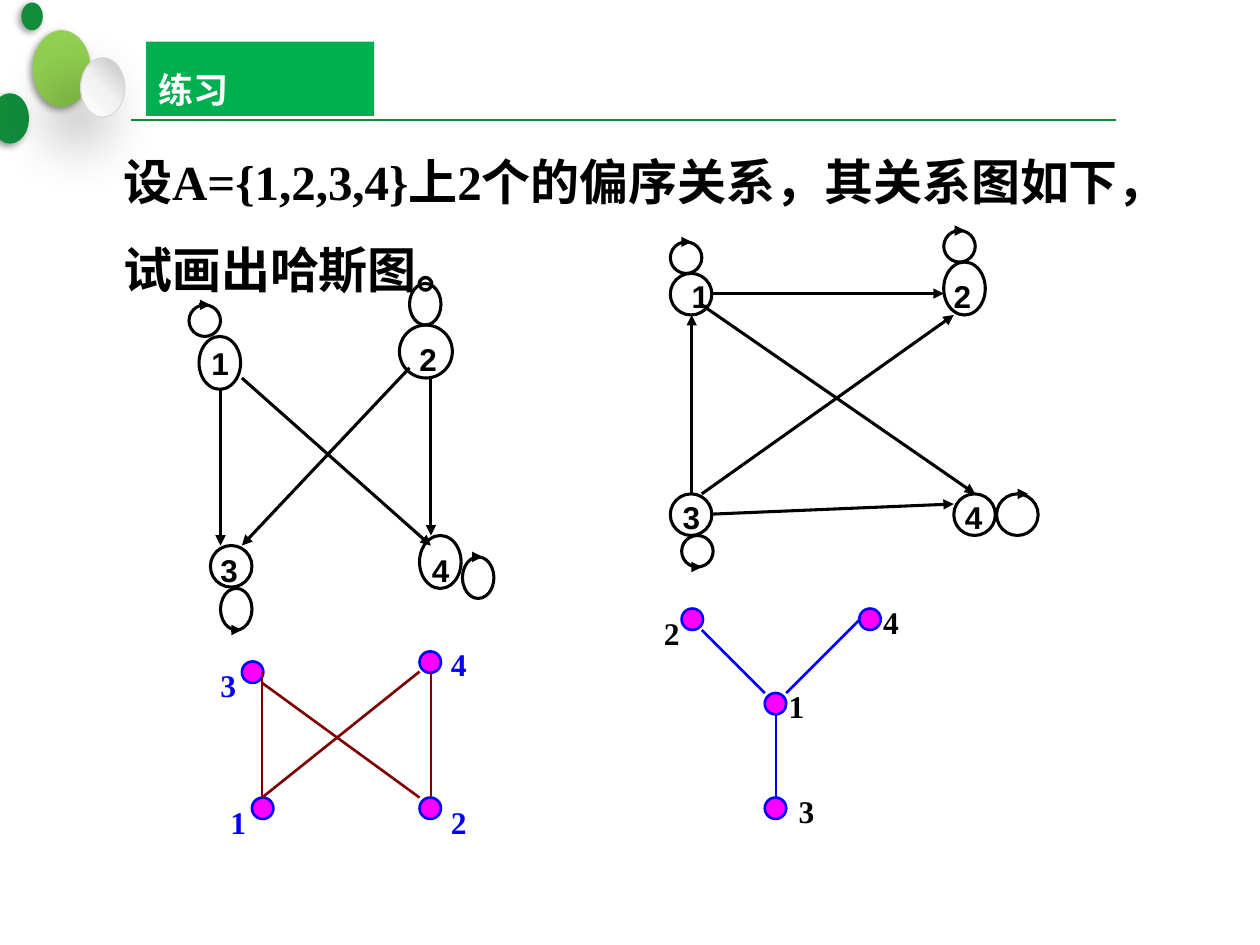
"""Build a practice slide with two relation graphs and their Hasse diagrams."""
from copy import deepcopy
from dataclasses import dataclass
from lxml.etree import SubElement
from pptx import Presentation
from pptx.dml.color import RGBColor
from pptx.enum.shapes import MSO_CONNECTOR, MSO_SHAPE
from pptx.enum.text import MSO_ANCHOR, MSO_AUTO_SIZE, PP_ALIGN
from pptx.oxml.ns import qn
from pptx.util import Inches, Pt


@dataclass
class Theme:
    black: str = "000000"
    white: str = "FFFFFF"
    blue: str = "0000FF"
    pink: str = "FF00FF"
    maroon: str = "800000"
    green: str = "118C3B"
    lime: str = "92D050"
    banner: str = "00B050"
    rim: str = "D9D9D9"
    pearl: tuple = ("FFFFFF", "F2F2F2", "BFBFBF")
    serif: str = "Times New Roman"
    sans: str = "Arial"
    asian: str = "Noto Sans CJK SC"
    body: int = 28
    head: int = 20
    label: int = 18


theme = Theme()


def write(frame, text, font=theme.serif, size=theme.label, color=theme.black):
    for i, words in enumerate(text.split("\n")):
        para = frame.add_paragraph() if i else frame.paragraphs[0]
        para.alignment = PP_ALIGN.LEFT
        para.line_spacing = 1.5
        run = para.add_run()
        run.text = words
        run.font.name = font
        run.font.size = Pt(size)
        run.font.bold = True
        run.font.color.rgb = RGBColor.from_string(color)
        SubElement(run._r.get_or_add_rPr(), qn("a:ea"), typeface=theme.asian)


def join(host, ends, color, width, arrow=False):
    line = host.add_connector(MSO_CONNECTOR.STRAIGHT, *map(Inches, ends))
    line.line.color.rgb = RGBColor.from_string(color)
    line.line.width = Pt(width)
    props = line.element.spPr
    if arrow:
        SubElement(props.find(qn("a:ln")), qn("a:tailEnd"), type="triangle")
    SubElement(props, qn("a:effectLst"))


deck = Presentation()
deck.slide_width, deck.slide_height = Inches(10), Inches(7.5)
slide = deck.slides.add_slide(deck.slide_layouts[5])
shapes = slide.shapes

title = shapes.title
title.left, title.top = Inches(1.16), Inches(0.33)
title.width, title.height = Inches(1.81), Inches(0.59)
SubElement(title.element.spPr, qn("a:prstGeom"), prst="chevron")
title.fill.solid()
title.fill.fore_color.rgb = RGBColor.from_string(theme.banner)
title.text_frame.vertical_anchor = MSO_ANCHOR.MIDDLE
write(title.text_frame, "练习", font=theme.asian, size=theme.head, color=theme.white)

join(shapes, (1.04, 0.95, 8.86, 0.95), theme.green, 1.25)

balls = [
    ((0.26, 0.24, 0.46, 0.61), theme.lime, 4, 2),
    ((-0.07, 0.74, 0.3, 0.4), theme.green, 4, 2),
    ((0.64, 0.46, 0.35, 0.47), theme.pearl, 35, 20),
    ((0.17, 0.02, 0.17, 0.22), theme.green, 4, 2),
]
for box, paint, blur, dist in balls:
    ball = shapes.add_shape(MSO_SHAPE.OVAL, *map(Inches, box))
    if paint == theme.pearl:
        ball.fill.gradient()
        ball.fill.gradient_angle = 45
        stops = ball.element.spPr.find(".//" + qn("a:gsLst"))
        stops.append(deepcopy(stops[-1]))
        for i, stop in enumerate(ball.fill.gradient_stops):
            stop.position = i / 2
            stop.color.rgb = RGBColor.from_string(paint[i])
        ball.line.color.rgb = RGBColor.from_string(theme.rim)
        ball.line.width = Pt(0.75)
    else:
        ball.fill.solid()
        ball.fill.fore_color.rgb = RGBColor.from_string(paint)
        ball.line.fill.background()
    ball.shadow.inherit = False
    shade = SubElement(ball.element.spPr.find(qn("a:effectLst")), qn("a:outerShdw"),
                       blurRad=str(Pt(blur)), dist=str(Pt(dist)),
                       dir=str(135 * 60000), algn="tr", rotWithShape="0")
    tint = SubElement(shade, qn("a:srgbClr"), val=theme.black)
    SubElement(tint, qn("a:alpha"), val="40000")

task = shapes.add_textbox(Inches(0.88), Inches(0.92), Inches(8.57), Inches(1.52))
task.text_frame.word_wrap = False
task.text_frame.auto_size = MSO_AUTO_SIZE.SHAPE_TO_FIT_TEXT
write(task.text_frame, "设A={1,2,3,4}上2个的偏序关系，其关系图如下，\n试画出哈斯图。", size=theme.body)

digraph = dict(fill=None, rim=theme.black, edge=theme.black, width=1.75,
               arrow=True, font=theme.sans, ink=theme.black, wide=0.34)
hasse = dict(fill=theme.pink, rim=theme.blue, edge=theme.blue, width=1.5,
             arrow=False, font=theme.serif, ink=theme.black, wide=0.32)
dot = 0.17
graphs = [
    dict(digraph, host=shapes,
         nodes=[(1.58, 2.67, 0.33, 0.42), (3.17, 2.58, 0.42, 0.42),
                (1.67, 4.33, 0.33, 0.33), (3.33, 4.25, 0.33, 0.42),
                (1.5, 2.42, 0.25, 0.25), (3.25, 2.25, 0.25, 0.33),
                (1.75, 4.67, 0.25, 0.33), (3.67, 4.42, 0.25, 0.33)],
         edges=[(1.92, 3, 3.42, 4.33), (3.25, 2.92, 1.92, 4.33),
                (1.75, 3.08, 1.75, 4.33), (3.42, 3, 3.42, 4.25),
                (3.75, 4.42, 3.83, 4.42), (1.83, 5, 1.92, 5),
                (3.42, 2.25, 3.42, 2.25), (1.58, 2.42, 1.67, 2.42)],
         labels=[("1", 1.58, 2.53), ("2", 3.23, 2.5), ("3", 1.65, 4.17), ("4", 3.33, 4.17)]),
    dict(digraph, host=shapes,
         nodes=[(5.32, 2.17, 0.33, 0.33), (7.49, 2.08, 0.33, 0.42),
                (5.32, 3.92, 0.33, 0.33), (7.57, 3.92, 0.33, 0.33),
                (5.32, 1.92, 0.25, 0.25), (7.49, 1.83, 0.25, 0.25),
                (5.41, 4.25, 0.25, 0.25), (7.91, 3.92, 0.33, 0.33)],
         edges=[(5.41, 1.92, 5.49, 1.92), (7.57, 1.83, 7.66, 1.83),
                (5.49, 4.5, 5.57, 4.5), (8.07, 3.92, 8.07, 3.92),
                (8.07, 3.92, 8.16, 3.92), (5.66, 2.33, 7.49, 2.33),
                (5.49, 3.92, 5.49, 2.5), (5.57, 3.92, 7.57, 2.5),
                (5.66, 4.08, 7.57, 4), (5.57, 2.42, 7.74, 3.92)],
         labels=[("1", 5.39, 2), ("2", 7.47, 2), ("3", 5.32, 3.75), ("4", 7.56, 3.75)]),
    dict(hasse, host=shapes.add_group_shape().shapes, edge=theme.maroon, ink=theme.blue,
         nodes=[(1.92, 5.25, dot, dot), (3.33, 5.17, dot, dot),
                (2, 6.33, dot, dot), (3.33, 6.33, dot, dot)],
         edges=[(2.08, 5.42, 3.33, 6.33), (2.08, 6.33, 3.33, 5.33),
                (2.08, 5.33, 2.08, 6.33), (3.42, 5.33, 3.42, 6.33)],
         labels=[("3", 1.65, 5.09), ("1", 1.73, 6.17), ("4", 3.48, 4.92), ("2", 3.48, 6.17)]),
    dict(hasse, host=shapes.add_group_shape().shapes,
         nodes=[(5.41, 4.83, dot, dot), (6.82, 4.83, dot, dot),
                (6.07, 5.5, dot, dot), (6.07, 6.33, dot, dot)],
         edges=[(5.57, 5, 6.07, 5.5), (6.24, 5.5, 6.82, 4.92), (6.16, 5.67, 6.16, 6.33)],
         labels=[("2", 5.17, 4.67), ("4", 6.91, 4.59), ("1", 6.16, 5.25), ("3", 6.24, 6.09)]),
]
for graph in graphs:
    host = graph["host"]
    for box in graph["nodes"]:
        node = host.add_shape(MSO_SHAPE.OVAL, *map(Inches, box))
        node.shadow.inherit = False
        if graph["fill"]:
            node.fill.solid()
            node.fill.fore_color.rgb = RGBColor.from_string(graph["fill"])
        else:
            node.fill.background()
        node.line.color.rgb = RGBColor.from_string(graph["rim"])
        node.line.width = Pt(graph["width"])
    for ends in graph["edges"]:
        join(host, ends, graph["edge"], graph["width"], graph["arrow"])
    for text, left, top in graph["labels"]:
        label = host.add_textbox(Inches(left), Inches(top), Inches(graph["wide"]), Inches(0.55))
        label.text_frame.word_wrap = False
        label.text_frame.auto_size = MSO_AUTO_SIZE.SHAPE_TO_FIT_TEXT
        write(label.text_frame, text, font=graph["font"], color=graph["ink"])

deck.save("out.pptx")
